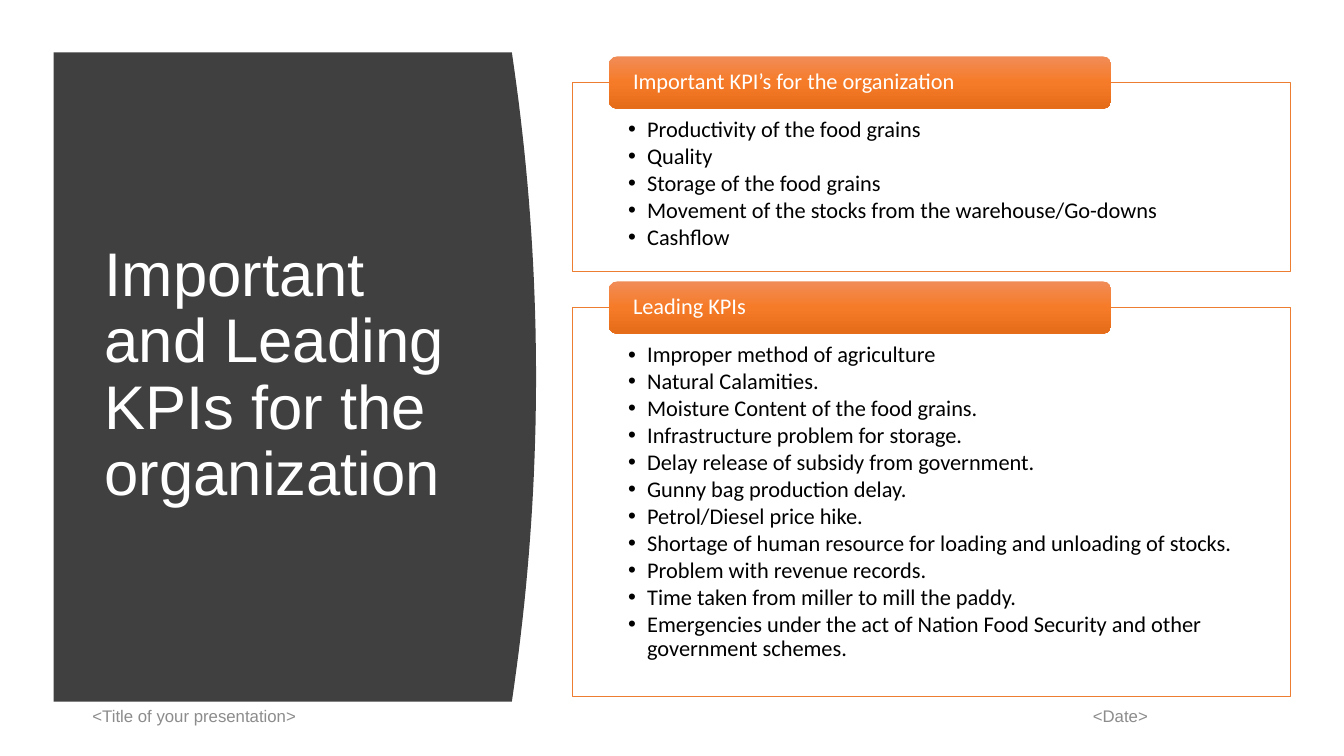
import copy
from dataclasses import dataclass

import lxml.etree
import pptx
import pptx.dml.color
import pptx.enum.shapes
import pptx.enum.text
import pptx.oxml.ns
import pptx.util

Cm = pptx.util.Cm
qn = pptx.oxml.ns.qn
Anchor = pptx.enum.text.MSO_ANCHOR
Align = pptx.enum.text.PP_ALIGN
Preset = pptx.enum.shapes.MSO_SHAPE

COLORS = {
    "white": "FFFFFF",
    "black": "000000",
    "dark": "404040",
    "footer": "8C8C8C",
    "outline": "ED7D31",
    "tab_top": "F18C57",
    "tab_middle": "F67B28",
    "tab_bottom": "E56C19",
}


@dataclass
class KpiPanel:
    heading: str
    items: list[str]
    top: float
    height: float


@dataclass
class Caption:
    text: str
    left: float
    top: float
    width: float
    height: float
    size: int
    color: str
    align: Align = Align.LEFT
    anchor: Anchor = Anchor.TOP
    line_spacing: float = 1.0


PANELS = [
    KpiPanel("Important KPI’s for the organization", [
        "Productivity of the food grains",
        "Quality",
        "Storage of the food grains",
        "Movement of the stocks from the warehouse/Go-downs",
        "Cashflow",
    ], 2.08, 4.75),
    KpiPanel("Leading KPIs", [
        "Improper method of agriculture",
        "Natural Calamities.",
        "Moisture Content of the food grains.",
        "Infrastructure problem for storage.",
        "Delay release of subsidy from government.",
        "Gunny bag production delay.",
        "Petrol/Diesel price hike.",
        "Shortage of human resource for loading and unloading of stocks.",
        "Problem with revenue records.",
        "Time taken from miller to mill the paddy.",
        "Emergencies under the act of Nation Food Security and other government schemes.",
    ], 7.75, 9.8),
]

CAPTIONS = [
    Caption("Important and Leading KPIs for the organization", 2.39, 2.82, 9.5, 13.31,
            44, "white", anchor=Anchor.MIDDLE, line_spacing=0.9),
    Caption("<Title of your presentation>", 2.08, 17.65, 11.43, 1.02, 12, "footer"),
    Caption("<Date>", 21.56, 17.65, 7.62, 1.02, 12, "footer", align=Align.RIGHT),
]

PANEL_LEFT, PANEL_WIDTH = 14.43, 18.08
TAB_LEFT, TAB_WIDTH, TAB_HEIGHT = 15.34, 12.67, 1.32
TAB_RISE = 0.66
BULLET_INDENT = 0.48


def rgb(name: str) -> pptx.dml.color.RGBColor:
    return pptx.dml.color.RGBColor.from_string(COLORS[name])


def write_text(frame, lines: list[str], *, font: str, size: int, color: str,
               align: Align = Align.LEFT, anchor: Anchor = Anchor.TOP,
               line_spacing: float = 0.9, space_after: float = 0,
               insets: tuple[float, float, float, float] = (0.25, 0.13, 0.25, 0.13),
               bullet: bool = False) -> None:
    frame.word_wrap = True
    frame.vertical_anchor = anchor
    (frame.margin_left, frame.margin_top,
     frame.margin_right, frame.margin_bottom) = map(Cm, insets)
    for index, line in enumerate(lines):
        para = frame.add_paragraph() if index else frame.paragraphs[0]
        para.alignment = align
        para.line_spacing = line_spacing
        para.space_after = pptx.util.Pt(space_after)
        span = para.add_run()
        span.text = line
        span.font.name = font
        span.font.size = pptx.util.Pt(size)
        span.font.color.rgb = rgb(color)
        if bullet:
            properties = para._p.get_or_add_pPr()
            properties.set("marL", str(Cm(BULLET_INDENT)))
            properties.set("indent", str(-Cm(BULLET_INDENT)))
            lxml.etree.SubElement(properties, qn("a:buFont"), typeface="Arial")
            lxml.etree.SubElement(properties, qn("a:buChar"), char="•")


def draw_curved_block(page) -> None:
    left, top, edge, bulge, height, steps = 1.35, 1.32, 12.9, 0.61, 16.36, 40
    curve = []
    for step in range(steps + 1):
        offset = 2 * step / steps - 1
        curve.append((Cm(edge + bulge * (1 - offset ** 2)),
                      Cm(top + height * step / steps)))
    builder = page.shapes.build_freeform(Cm(left), Cm(top))
    builder.add_line_segments(curve + [(Cm(left), Cm(top + height))], close=True)
    block = builder.convert_to_shape()
    block.shadow.inherit = False
    block.fill.solid()
    block.fill.fore_color.rgb = rgb("dark")
    block.line.fill.background()


def draw_caption(page, caption: Caption) -> None:
    box = page.shapes.add_textbox(Cm(caption.left), Cm(caption.top),
                                  Cm(caption.width), Cm(caption.height))
    write_text(box.text_frame, [caption.text], font="Arial", size=caption.size,
               color=caption.color, align=caption.align, anchor=caption.anchor,
               line_spacing=caption.line_spacing)


def fill_tab(tab) -> None:
    tab.fill.gradient()
    tab.fill.gradient_angle = 270
    stop_list = tab._element.spPr.find(qn("a:gradFill")).find(qn("a:gsLst"))
    stop_list.append(copy.deepcopy(stop_list[0]))
    names = ("tab_top", "tab_middle", "tab_bottom")
    for index, (stop, name) in enumerate(zip(tab.fill.gradient_stops, names)):
        stop.position = index / 2
        stop.color.rgb = rgb(name)


def draw_panel(page, panel: KpiPanel) -> None:
    frame = page.shapes.add_shape(Preset.RECTANGLE, Cm(PANEL_LEFT), Cm(panel.top),
                                  Cm(PANEL_WIDTH), Cm(panel.height))
    frame.shadow.inherit = False
    frame.fill.solid()
    frame.fill.fore_color.rgb = rgb("white")
    color = frame._element.spPr.find(qn("a:solidFill"))[0]
    lxml.etree.SubElement(color, qn("a:alpha"), val="90000")
    frame.line.color.rgb = rgb("outline")
    frame.line.width = pptx.util.Pt(0.5)
    write_text(frame.text_frame, panel.items, font="Calibri", size=16, color="black",
               space_after=2, insets=(1.4, 0.91, 1.4, 0.3), bullet=True)

    tab = page.shapes.add_shape(Preset.ROUNDED_RECTANGLE, Cm(TAB_LEFT),
                                Cm(panel.top - TAB_RISE), Cm(TAB_WIDTH), Cm(TAB_HEIGHT))
    tab.shadow.inherit = False
    fill_tab(tab)
    tab.line.fill.background()
    write_text(tab.text_frame, [panel.heading], font="Calibri", size=16, color="white",
               anchor=Anchor.MIDDLE, insets=(0.55, 0, 0.55, 0))


def main() -> None:
    deck = pptx.Presentation()
    deck.slide_width, deck.slide_height = Cm(33.87), Cm(19.05)
    page = deck.slides.add_slide(deck.slide_layouts[6])
    draw_curved_block(page)
    for caption in CAPTIONS:
        draw_caption(page, caption)
    for panel in PANELS:
        draw_panel(page, panel)
    deck.save("out.pptx")


if __name__ == "__main__":
    main()
